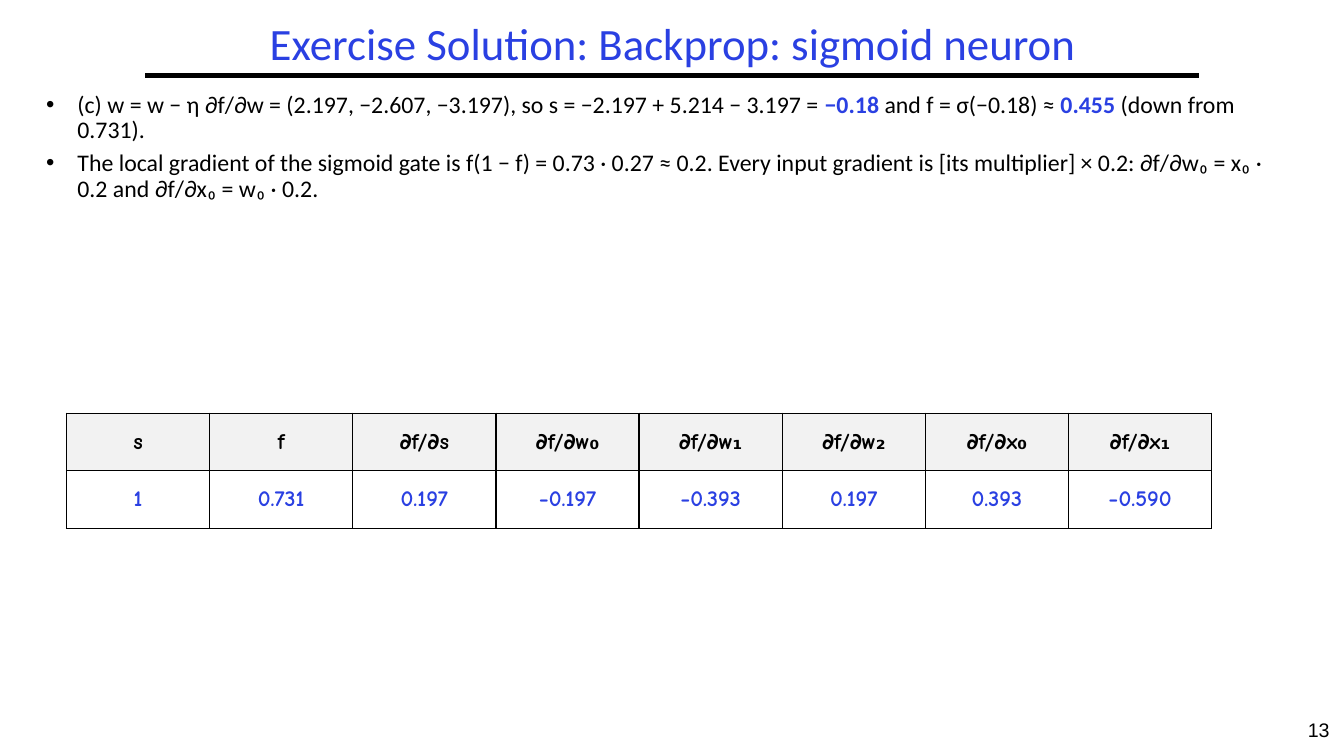
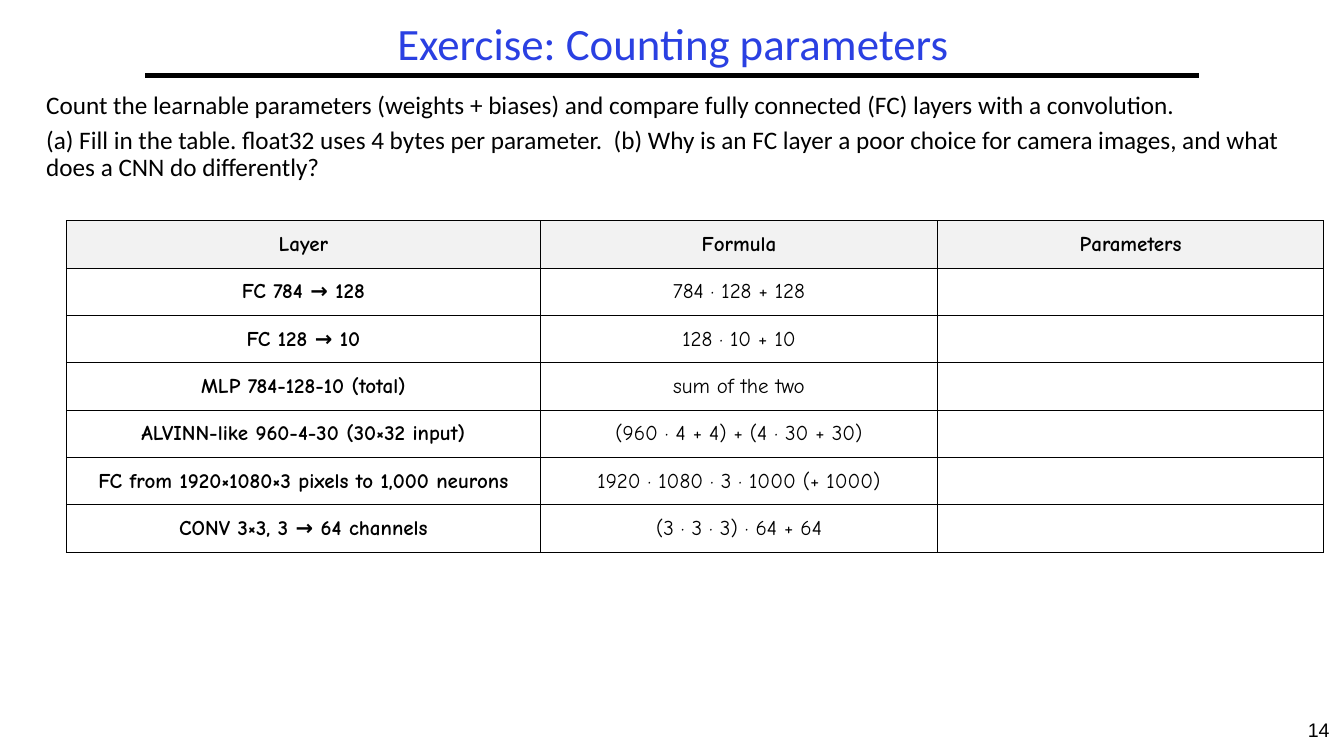
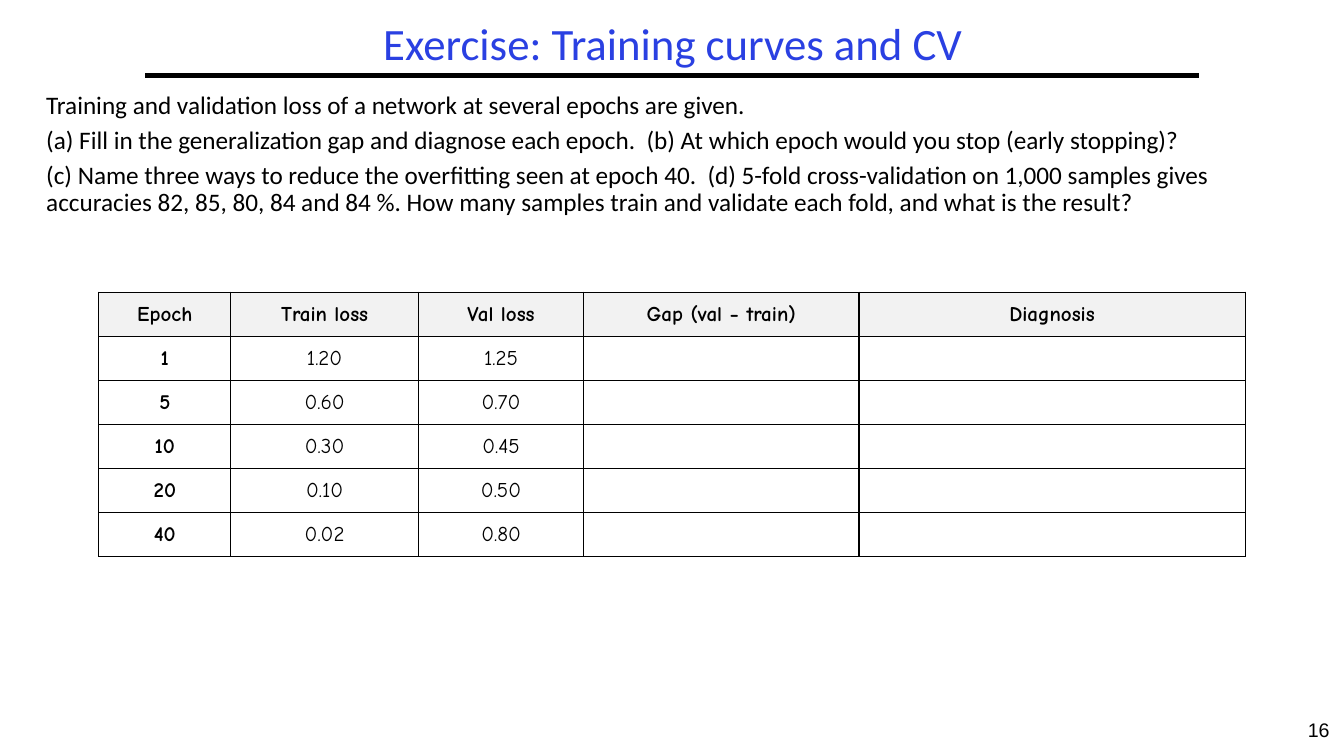
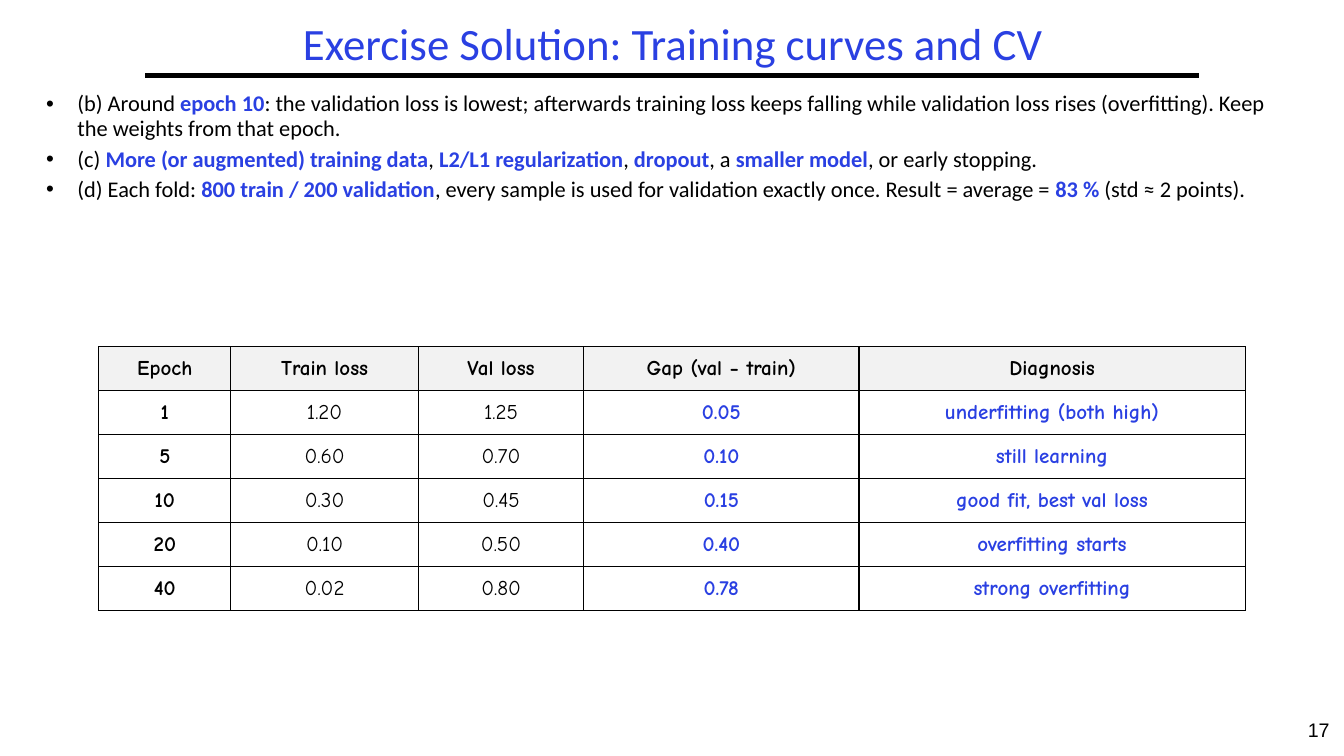
from lxml import etree
from pptx import Presentation
from pptx.dml.color import RGBColor
from pptx.enum.shapes import MSO_CONNECTOR
from pptx.enum.text import MSO_ANCHOR, PP_ALIGN
from pptx.oxml.ns import qn
from pptx.util import Inches, Pt

STRAIGHT = MSO_CONNECTOR.STRAIGHT
MIDDLE = MSO_ANCHOR.MIDDLE
TOP = MSO_ANCHOR.TOP
CENTER = PP_ALIGN.CENTER
LEFT = PP_ALIGN.LEFT

BLACK = RGBColor(0x00, 0x00, 0x00)
BLUE = RGBColor(0x2A, 0x40, 0xE2)
GRAY = RGBColor(0xF2, 0xF2, 0xF2)

HEADING_FONT = "Calibri"
NUMBER_FONT = "Arial"
TABLE_FONT = "Comic Neue"
LINE_SPACING = 0.9
BORDER_WIDTH = Pt(1)

CURVE_COLUMNS = [1.31, 1.86, 1.64, 2.73, 3.83]
CURVE_HEADER = ["Epoch", "Train loss", "Val loss", "Gap (val − train)", "Diagnosis"]
LOSSES = [
    ["1", "1.20", "1.25"],
    ["5", "0.60", "0.70"],
    ["10", "0.30", "0.45"],
    ["20", "0.10", "0.50"],
    ["40", "0.02", "0.80"],
]
DIAGNOSES = [
    ["0.05", "underfitting (both high)"],
    ["0.10", "still learning"],
    ["0.15", "good fit, best val loss"],
    ["0.40", "overfitting starts"],
    ["0.78", "strong overfitting"],
]


def style_span(span, font, size, color=BLACK, bold=False):
    span.font.name = font
    span.font.size = Pt(size)
    span.font.bold = bold
    span.font.color.rgb = color


def add_box(page, left, top, width, height, anchor=TOP):
    box = page.shapes.add_textbox(Inches(left), Inches(top), Inches(width), Inches(height))
    frame = box.text_frame
    frame.word_wrap = True
    frame.vertical_anchor = anchor
    return frame


def add_label(frame, text, font, size, color):
    frame.text = text
    para = frame.paragraphs[0]
    para.alignment = CENTER
    para.line_spacing = LINE_SPACING
    style_span(para.runs[0], font, size, color)


def add_page(deck, title, number):
    page = deck.slides.add_slide(deck.slide_layouts[6])
    rule = page.shapes.add_connector(
        STRAIGHT, Inches(1.44), Inches(0.75), Inches(11.89), Inches(0.75))
    rule.line.color.rgb = BLACK
    rule.line.width = Pt(3)
    etree.SubElement(rule._element.spPr, qn("a:effectLst"))
    add_label(add_box(page, 12.83, 7.1, 0.5, 0.4), str(number), NUMBER_FONT, 14, BLACK)
    add_label(add_box(page, 1.44, 0.17, 10.47, 0.58, MIDDLE), title, HEADING_FONT, 32, BLUE)
    return page


def set_bullet(para):
    properties = para._p.get_or_add_pPr()
    properties.set("marL", str(Inches(0.31)))
    properties.set("indent", str(-Inches(0.31)))
    etree.SubElement(properties, qn("a:buFont"), typeface="Arial")
    etree.SubElement(properties, qn("a:buChar"), char="•")


def add_body(page, height, size, texts, bulleted=False):
    frame = add_box(page, 0.36, 0.87, 12.58, height)
    for index, text in enumerate(texts):
        para = frame.add_paragraph() if index else frame.paragraphs[0]
        if bulleted:
            set_bullet(para)
        para.alignment = LEFT
        para.line_spacing = LINE_SPACING
        if index:
            para.space_before = Pt(round(size * 0.3, 1))
        for position, part in enumerate(text.split("**")):
            strong = position % 2 == 1
            span = para.add_run()
            span.text = part
            style_span(span, HEADING_FONT, size, BLUE if strong else BLACK, strong)


def set_borders(cell):
    properties = cell._tc.get_or_add_tcPr()
    for side in ("a:lnL", "a:lnR", "a:lnT", "a:lnB"):
        line = etree.SubElement(properties, qn(side), w=str(BORDER_WIDTH))
        fill = etree.SubElement(line, qn("a:solidFill"))
        etree.SubElement(fill, qn("a:srgbClr"), val=str(BLACK))


def fill_cell(cell, text, size, color, bold, header):
    set_borders(cell)
    if header:
        cell.fill.solid()
        cell.fill.fore_color.rgb = GRAY
    else:
        cell.fill.background()
    cell.margin_left = cell.margin_right = Inches(0.07)
    cell.margin_top = cell.margin_bottom = Inches(0.03)
    cell.vertical_anchor = MIDDLE
    cell.text_frame.text = text
    para = cell.text_frame.paragraphs[0]
    para.alignment = CENTER
    para.font.size = Pt(size)
    for span in para.runs:
        style_span(span, TABLE_FONT, size, color, bold)


def add_grid(page, left, top, height, widths, rows, size, answer_column):
    shape = page.shapes.add_table(
        len(rows), len(widths), Inches(left), Inches(top), Inches(sum(widths)), Inches(height))
    table = shape.table
    table.first_row = False
    table.horz_banding = False
    for column, width in zip(table.columns, widths):
        column.width = Inches(width)
    for row_index, row in enumerate(rows):
        for column_index, text in enumerate(row):
            header = row_index == 0
            answer = not header and column_index >= answer_column
            bold = header or answer or column_index == 0
            fill_cell(table.cell(row_index, column_index), text, size,
                      BLUE if answer else BLACK, bold, header)


def add_curve_grid(page, top, answers):
    rows = [CURVE_HEADER] + [known + found for known, found in zip(LOSSES, answers)]
    add_grid(page, 0.98, top, 2.62, CURVE_COLUMNS, rows, 15, 3)


def add_sigmoid_solution(deck):
    page = add_page(deck, "Exercise Solution: Backprop: sigmoid neuron", 13)
    add_body(page, 3.06, 17, [
        "(c) w = w − η ∂f/∂w = (2.197, −2.607, −3.197), so s = −2.197 + 5.214 − 3.197 = "
        "**−0.18** and f = σ(−0.18) ≈ **0.455** (down from 0.731).",
        "The local gradient of the sigmoid gate is f(1 − f) = 0.73 · 0.27 ≈ 0.2. Every input "
        "gradient is [its multiplier] × 0.2: ∂f/∂w₀ = x₀ · 0.2 and ∂f/∂x₀ = w₀ · 0.2.",
    ], bulleted=True)
    rows = [
        ["s", "f", "∂f/∂s", "∂f/∂w₀", "∂f/∂w₁", "∂f/∂w₂", "∂f/∂x₀", "∂f/∂x₁"],
        ["1", "0.731", "0.197", "−0.197", "−0.393", "0.197", "0.393", "−0.590"],
    ]
    add_grid(page, 0.66, 4.1, 1.14, [1.42] * 8, rows, 16, 0)


def add_parameter_exercise(deck):
    page = add_page(deck, "Exercise: Counting parameters", 14)
    add_body(page, 1.2, 18, [
        "Count the learnable parameters (weights + biases) and compare fully connected (FC) "
        "layers with a convolution.",
        "(a) Fill in the table. float32 uses 4 bytes per parameter.  (b) Why is an FC layer a "
        "poor choice for camera images, and what does a CNN do differently?",
    ])
    rows = [
        ["Layer", "Formula", "Parameters"],
        ["FC 784 → 128", "784 · 128 + 128", ""],
        ["FC 128 → 10", "128 · 10 + 10", ""],
        ["MLP 784-128-10 (total)", "sum of the two", ""],
        ["ALVINN-like 960-4-30 (30×32 input)", "(960 · 4 + 4) + (4 · 30 + 30)", ""],
        ["FC from 1920×1080×3 pixels to 1,000 neurons", "1920 · 1080 · 3 · 1000 (+ 1000)", ""],
        ["CONV 3×3, 3 → 64 channels", "(3 · 3 · 3) · 64 + 64", ""],
    ]
    add_grid(page, 0.66, 2.19, 3.29, [4.7, 3.94, 3.83], rows, 15, 2)


def add_curve_exercise(deck):
    page = add_page(deck, "Exercise: Training curves and CV", 16)
    add_body(page, 2.08, 18, [
        "Training and validation loss of a network at several epochs are given.",
        "(a) Fill in the generalization gap and diagnose each epoch.  (b) At which epoch would "
        "you stop (early stopping)?",
        "(c) Name three ways to reduce the overfitting seen at epoch 40.  (d) 5-fold "
        "cross-validation on 1,000 samples gives accuracies 82, 85, 80, 84 and 84 %. How many "
        "samples train and validate each fold, and what is the result?",
    ])
    add_curve_grid(page, 2.9, [["", ""]] * len(LOSSES))


def add_curve_solution(deck):
    page = add_page(deck, "Exercise Solution: Training curves and CV", 17)
    add_body(page, 2.41, 16, [
        "(b) Around **epoch 10**: the validation loss is lowest; afterwards training loss keeps "
        "falling while validation loss rises (overfitting). Keep the weights from that epoch.",
        "(c) **More (or augmented) training data**, **L2/L1 regularization**, **dropout**, a "
        "**smaller model**, or early stopping.",
        "(d) Each fold: **800 train / 200 validation**, every sample is used for validation "
        "exactly once. Result = average = **83 %** (std ≈ 2 points).",
    ], bulleted=True)
    add_curve_grid(page, 3.44, DIAGNOSES)


def main():
    deck = Presentation()
    deck.slide_width = Inches(13.33)
    deck.slide_height = Inches(7.5)
    add_sigmoid_solution(deck)
    add_parameter_exercise(deck)
    add_curve_exercise(deck)
    add_curve_solution(deck)
    deck.save("out.pptx")


if __name__ == "__main__":
    main()
